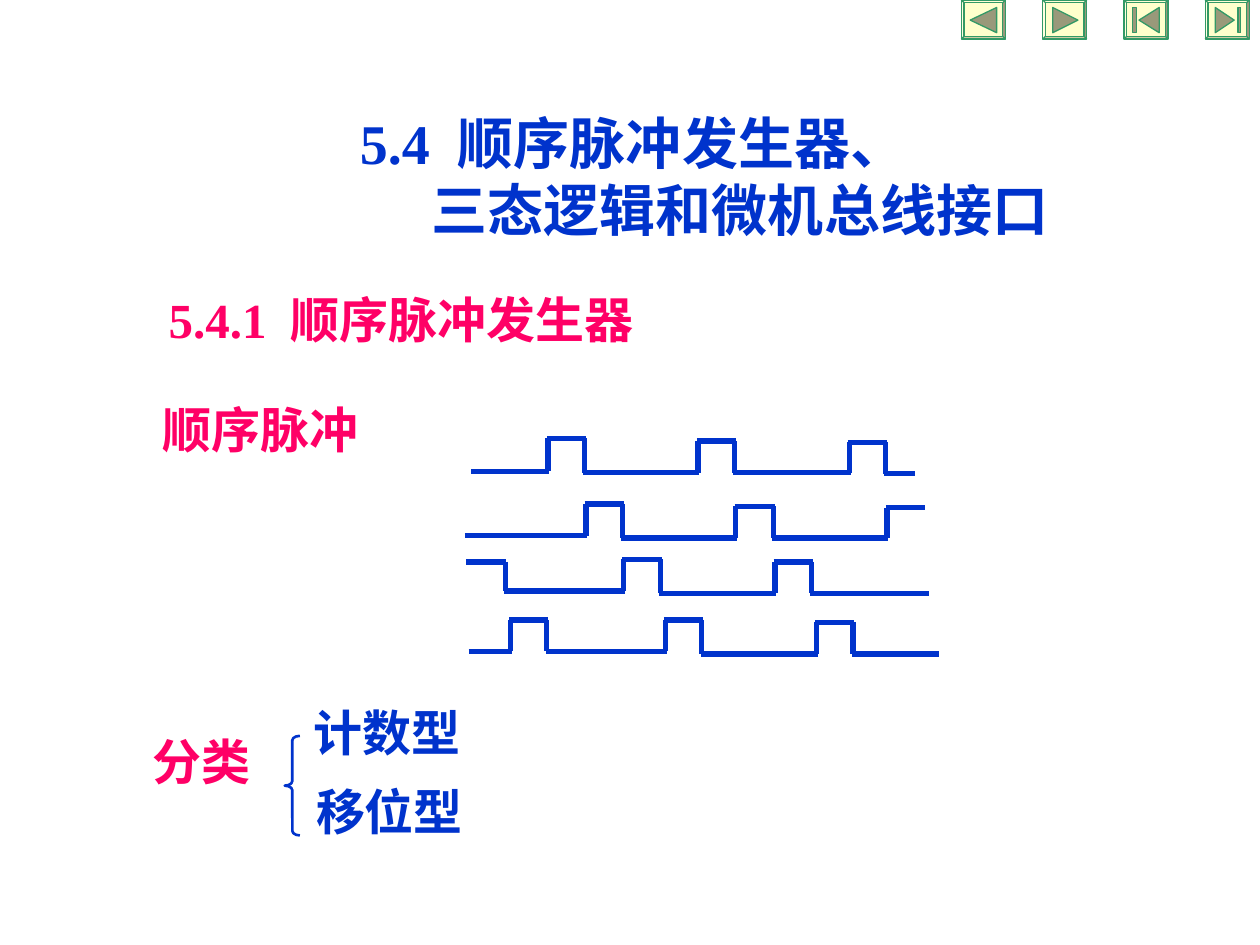
import pptx
import pptx.util
import pptx.dml.color
import pptx.enum.shapes
import pptx.enum.text
import pptx.oxml.ns
from lxml import etree

Inches = pptx.util.Inches
Pt = pptx.util.Pt
RGBColor = pptx.dml.color.RGBColor
MSO_SHAPE = pptx.enum.shapes.MSO_SHAPE
PP_ALIGN = pptx.enum.text.PP_ALIGN

BLUE = RGBColor(0x00, 0x33, 0xCC)
PINK = RGBColor(0xFF, 0x00, 0x66)
CREAM = RGBColor(0xFF, 0xFF, 0xCC)
GREEN = RGBColor(0x33, 0x99, 0x66)
KHAKI = RGBColor(0x99, 0x99, 0x7A)
FONT = "Times New Roman"

# Each pulse train: x of its start, edges and end; y of each level between them.
WAVES = [
    ([3.75, 4.35, 4.64, 5.54, 5.83, 6.74, 7.03, 7.25],
     [3.74, 3.48, 3.75, 3.5, 3.75, 3.51, 3.76]),
    ([3.7, 4.65, 4.94, 5.84, 6.14, 7.04, 7.33],
     [4.25, 4, 4.27, 4.02, 4.27, 4.03]),
    ([3.71, 4.01, 4.95, 5.24, 6.15, 6.44, 7.36],
     [4.46, 4.69, 4.44, 4.71, 4.46, 4.71]),
    ([3.73, 4.05, 4.34, 5.28, 5.57, 6.48, 6.77, 7.44],
     [5.17, 4.92, 5.17, 4.92, 5.19, 4.94, 5.19]),
]
OVERLAP = 0.01

# Glyph outlines, relative to the button's corner.
PREVIOUS = [[(0.07, 0.16), (0.28, 0.06), (0.28, 0.26)]]
NEXT = [[(0.08, 0.06), (0.28, 0.16), (0.08, 0.26)]]
FIRST = [[(0.12, 0.16), (0.28, 0.06), (0.28, 0.26)],
         [(0.07, 0.06), (0.1, 0.06), (0.1, 0.26), (0.07, 0.26)]]
LAST = [[(0.23, 0.16), (0.08, 0.26), (0.08, 0.06)],
        [(0.26, 0.06), (0.26, 0.26), (0.28, 0.26), (0.28, 0.06)]]
BUTTON_LEFT, BUTTON_STEP = 7.63, 0.645


def add_text(slide, left, top, width, height, lines, size, color,
             align=PP_ALIGN.LEFT, indents=()):
    s = slide.shapes.add_textbox(Inches(left), Inches(top), Inches(width), Inches(height))
    tf = s.text_frame
    tf.word_wrap = True
    for i, line in enumerate(lines):
        p = tf.paragraphs[0] if i == 0 else tf.add_paragraph()
        p.alignment = align
        if i < len(indents):
            p._p.get_or_add_pPr().set("marL", str(Inches(indents[i])))
        r = p.add_run()
        r.text = line
        r.font.name = FONT
        r.font.size = Pt(size)
        r.font.bold = True
        r.font.color.rgb = color


def add_line(shapes, x1, y1, x2, y2):
    s = shapes.add_connector(pptx.enum.shapes.MSO_CONNECTOR.STRAIGHT,
                             Inches(x1), Inches(y1), Inches(x2), Inches(y2))
    s.line.color.rgb = BLUE
    s.line.width = Pt(3)
    etree.SubElement(s._element.spPr, pptx.oxml.ns.qn("a:effectLst"))


def add_wave(slide, xs, levels):
    shapes = slide.shapes.add_group_shape().shapes
    for x1, x2, y in zip(xs, xs[1:], levels):
        add_line(shapes, x1 - OVERLAP, y, x2 + OVERLAP, y)
    for x, y1, y2 in zip(xs[1:], levels, levels[1:]):
        add_line(shapes, x, y1, x, y2)


def style(s, fill):
    s.shadow.inherit = False
    s.fill.solid()
    s.fill.fore_color.rgb = fill
    s.line.color.rgb = GREEN
    s.line.width = Pt(0.75)


def add_button(slide, left, outlines):
    """Bevelled navigation button with a glyph made of polygons."""
    shapes = slide.shapes.add_group_shape().shapes
    s = shapes.add_shape(MSO_SHAPE.BEVEL, Inches(left), 0, Inches(0.35), Inches(0.31))
    s.adjustments[0] = 0.07
    style(s, CREAM)
    for outline in outlines:
        points = [(Inches(left + x), Inches(y)) for x, y in outline]
        builder = shapes.build_freeform(*points[0])
        builder.add_line_segments(points[1:], close=True)
        style(builder.convert_to_shape(), KHAKI)


def add_brace(slide, left, top, width, height):
    s = slide.shapes.add_shape(MSO_SHAPE.LEFT_BRACE, Inches(left), Inches(top),
                               Inches(width), Inches(height))
    s.adjustments[0] = 0.3
    s.shadow.inherit = False
    s.fill.background()
    s.line.color.rgb = BLUE
    s.line.width = Pt(1.5)


def main():
    prs = pptx.Presentation()
    prs.slide_width, prs.slide_height = Inches(10), Inches(7.5)
    slide = prs.slides.add_slide(prs.slide_layouts[6])

    add_text(slide, 1.2, 0.81, 7.65, 1.7,
             ["5.4  顺序脉冲发生器、", "三态逻辑和微机总线接口"],
             32, BLUE, PP_ALIGN.CENTER, indents=(0, 1.7))
    for left, top, width, text, color in [
        (1.24, 2.25, 6.75, "5.4.1  顺序脉冲发生器", PINK),
        (1.19, 3.12, 2.12, "顺序脉冲", PINK),
        (1.11, 5.76, 1.3, "分类", PINK),
        (2.39, 5.53, 2.01, "计数型", BLUE),
        (2.41, 6.15, 2.18, "移位型", BLUE),
    ]:
        add_text(slide, left, top, width, 0.57, [text], 28, color)

    for xs, levels in WAVES:
        add_wave(slide, xs, levels)
    add_brace(slide, 2.26, 5.84, 0.12, 0.79)
    for i, outlines in enumerate([PREVIOUS, NEXT, FIRST, LAST]):
        add_button(slide, BUTTON_LEFT + i * BUTTON_STEP, outlines)

    prs.save("out.pptx")


if __name__ == "__main__":
    main()
